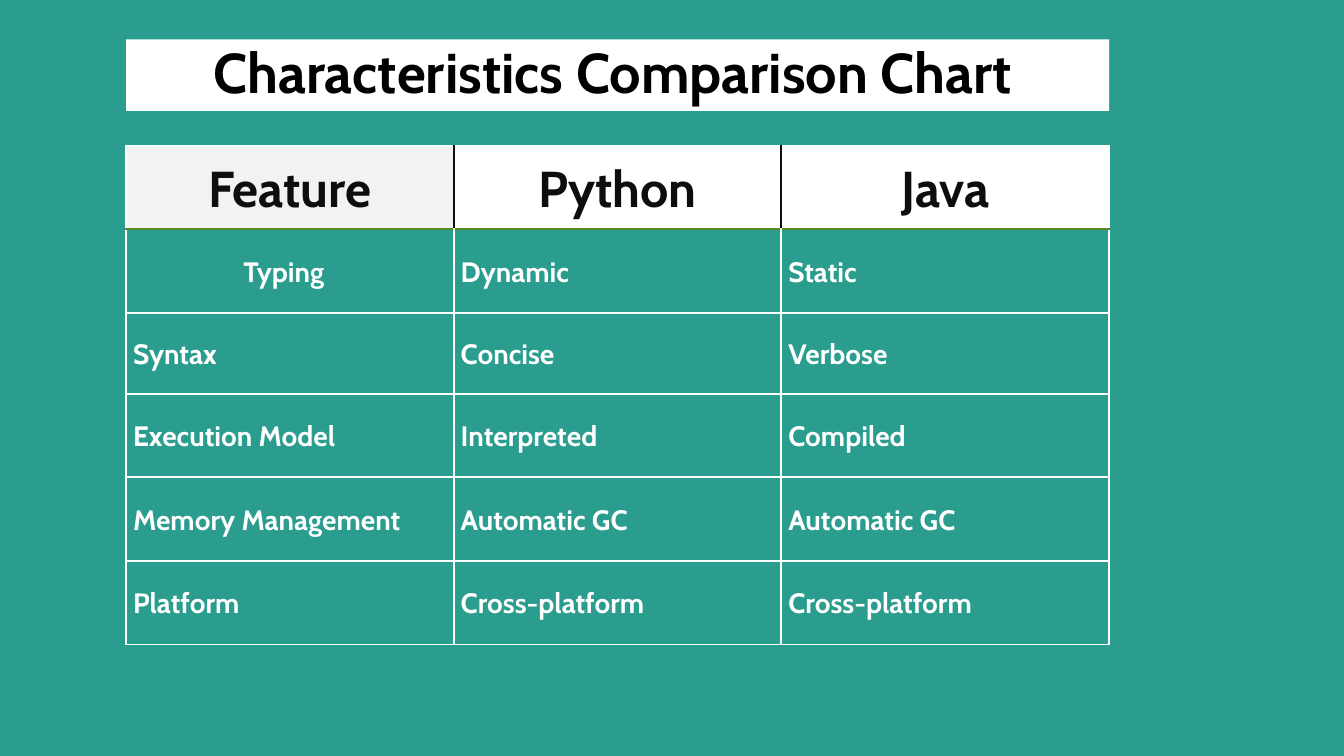
from lxml.etree import SubElement
from pptx import Presentation
from pptx.dml.color import RGBColor
from pptx.enum.shapes import MSO_SHAPE
from pptx.enum.text import MSO_ANCHOR, PP_ALIGN
from pptx.oxml.ns import qn
from pptx.util import Inches, Pt

TEAL = RGBColor(0x2A, 0x9D, 0x8F)
WHITE = RGBColor(0xFF, 0xFF, 0xFF)
BLACK = RGBColor(0, 0, 0)
INK = RGBColor(0x0D, 0x0D, 0x0D)
GREY = RGBColor(0xF2, 0xF2, 0xF2)
GREEN = RGBColor(0x58, 0x88, 0x24)

LEFT, COL_W = 1.25, 3.25
ROW_HEIGHTS = [0.83, 0.83, 0.8, 0.83, 0.83, 0.83]
ROWS = [
    ["Feature", "Python", "Java"],
    ["Typing", "Dynamic", "Static"],
    ["Syntax", "Concise", "Verbose"],
    ["Execution Model", "Interpreted", "Compiled"],
    ["Memory Management", "Automatic GC", "Automatic GC"],
    ["Platform", "Cross-platform", "Cross-platform"],
]


def write(tf, text, size=20, color=WHITE, align=PP_ALIGN.LEFT, spacing=1.07):
    p = tf.paragraphs[0]
    p.alignment = align
    p.line_spacing = spacing
    r = p.add_run()
    r.text = text
    r.font.name = "Cabin"
    r.font.size = Pt(size)
    r.font.bold = True
    r.font.color.rgb = color


def add_borders(cell, **colors):
    tcPr = cell._tc.get_or_add_tcPr()
    for side in "LRTB":
        ln = SubElement(tcPr, qn(f"a:ln{side}"), w=str(Pt(1.5)))
        fill = SubElement(ln, qn("a:solidFill"))
        SubElement(fill, qn("a:srgbClr"), val=str(colors[side]))


prs = Presentation()
prs.slide_width = Inches(13.33)
prs.slide_height = Inches(7.5)
s = prs.slides.add_slide(prs.slide_layouts[6])
s.background.fill.solid()
s.background.fill.fore_color.rgb = TEAL

title = s.shapes.add_shape(MSO_SHAPE.RECTANGLE, Inches(LEFT), Inches(0.39),
                           Inches(3 * COL_W), Inches(0.71))
title.shadow.inherit = False
title.fill.solid()
title.fill.fore_color.rgb = WHITE
title.line.fill.background()
tf = title.text_frame
tf.word_wrap = True
tf.vertical_anchor = MSO_ANCHOR.MIDDLE
tf.margin_left = 0
write(tf, "Characteristics Comparison Chart", size=40, color=BLACK,
      align=PP_ALIGN.CENTER, spacing=0.9)

table = s.shapes.add_table(len(ROWS), 3, Inches(LEFT), Inches(1.445),
                           Inches(3 * COL_W), Inches(sum(ROW_HEIGHTS))).table
table.horz_banding = False
for col in table.columns:
    col.width = Inches(COL_W)

for i, (row, height) in enumerate(zip(ROWS, ROW_HEIGHTS)):
    table.rows[i].height = Inches(height)
    header = i == 0
    divider = INK if header else WHITE
    for j, text in enumerate(row):
        cell = table.cell(i, j)
        cell.vertical_anchor = MSO_ANCHOR.MIDDLE
        cell.margin_left = cell.margin_right = Inches(0.07)
        cell.margin_top = cell.margin_bottom = 0
        add_borders(cell,
                    L=divider if j > 0 else WHITE,
                    R=divider if j < 2 else WHITE,
                    T=GREEN if i == 1 else WHITE,
                    B=GREEN if header else WHITE)
        cell.fill.solid()
        if header:
            cell.fill.fore_color.rgb = GREY if j == 0 else WHITE
            write(cell.text_frame, text, size=36, color=INK, align=PP_ALIGN.CENTER)
        elif text == "Typing":
            cell.fill.fore_color.rgb = TEAL
            cell.margin_right = Inches(0.19)
            write(cell.text_frame, text, align=PP_ALIGN.CENTER)
        else:
            cell.fill.fore_color.rgb = TEAL
            write(cell.text_frame, text)

prs.save("out.pptx")
